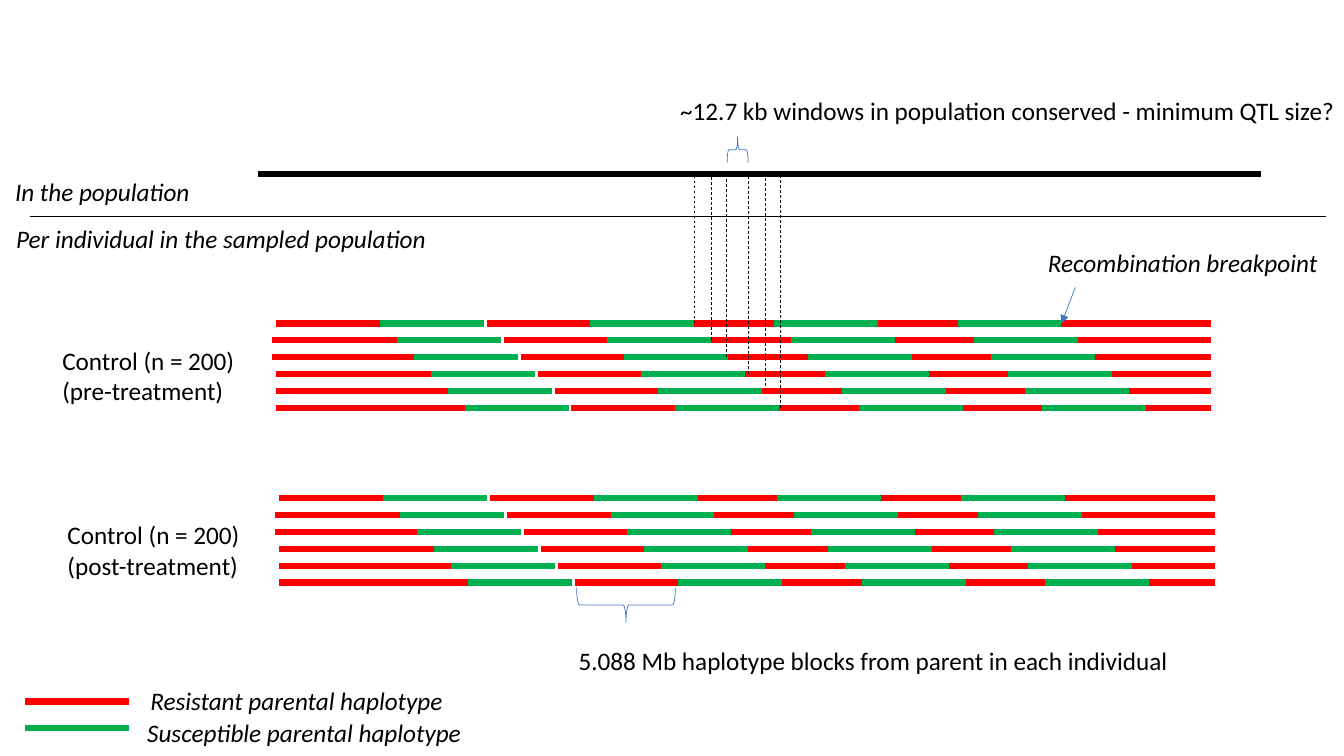
import pptx
import pptx.util
import pptx.dml.color
import pptx.enum.dml
import pptx.enum.shapes
import pptx.enum.text
import pptx.oxml.ns
import lxml.etree

Cm = pptx.util.Cm
RED, GREEN, BLACK, BLUE = "FF0000", "00B050", "000000", "4472C4"
THICK, THIN = 4.5, 0.5
BLOCK = 2.62
ROWS = 6
PITCH = 2.13 / (ROWS - 1)
REDS = [5.31, 9.93, 14.55]
GREENS = [2.62, 7.92, 12.55, 17.17]
LAST, END = 18.82, 23.57
LEADS = [0, -0.1, -0.1, 0, 0, 0]
BREAKS = [(17.5, 4.32), (17.93, 4.39), (18.31, 4.39),
          (18.85, 4.39), (19.28, 4.32), (19.66, 4.39)]


def paint(code):
    return pptx.dml.color.RGBColor.from_string(code)


def apply(item, values):
    for name, value in values.items():
        setattr(item, name, value)


def add_sub(node, tag, **attrs):
    return lxml.etree.SubElement(node, pptx.oxml.ns.qn(tag), attrs)


def add_line(slide, start, end, color, width, dash=False, arrow=False):
    line = slide.shapes.add_connector(
        pptx.enum.shapes.MSO_CONNECTOR.STRAIGHT,
        *[Cm(value) for value in (*start, *end)])
    line.line.color.rgb = paint(color)
    line.line.width = pptx.util.Pt(width)
    if dash:
        line.line.dash_style = pptx.enum.dml.MSO_LINE.DASH
    if arrow:
        add_sub(line.line._get_or_add_ln(), "a:tailEnd", type="triangle")
    add_sub(line._element.spPr, "a:effectLst")


def add_text(slide, box, text, italic=False, wrap=False):
    frame = slide.shapes.add_textbox(*[Cm(value) for value in box]).text_frame
    frame.text = text
    apply(frame, {"word_wrap": wrap,
                  "auto_size": pptx.enum.text.MSO_AUTO_SIZE.SHAPE_TO_FIT_TEXT})
    style = {"name": "Calibri", "size": pptx.util.Pt(18)}
    if italic:
        style["italic"] = True
    for para in frame.paragraphs:
        for run in para.runs:
            apply(run.font, style)
            run.font.color.rgb = paint(BLACK)


def add_brace(slide, box, angle):
    brace = slide.shapes.add_shape(
        pptx.enum.shapes.MSO_SHAPE.RIGHT_BRACE, *[Cm(value) for value in box])
    brace.rotation = angle
    brace.shadow.inherit = False
    brace.fill.background()
    brace.line.color.rgb = paint(BLUE)
    brace.line.width = pptx.util.Pt(THIN)


def draw_group(slide, left, top, label, text):
    for row, lead in enumerate(LEADS):
        shift = row * PITCH
        y = top + shift
        spans = [(lead, BLOCK + shift, RED)]
        spans += [(x + shift, x + shift + BLOCK, RED) for x in REDS]
        spans += [(LAST + shift, END, RED)]
        spans += [(x + shift, x + shift + BLOCK, GREEN) for x in GREENS]
        for start, end, color in spans:
            add_line(slide, (left + start, y), (left + end, y), color, THICK)
    add_text(slide, (left + label, top + 0.42, 4.9, 1.8), text)


def draw_breaks(slide, top):
    for row, (x, head) in enumerate(BREAKS):
        add_line(slide, (x, top + row * PITCH), (x, head), BLACK, THIN, dash=True)


def draw_header(slide, left, top):
    add_line(slide, (left + 0.62, top + 1.12), (left + 33.28, top + 1.12), BLACK, THIN)
    add_line(slide, (left + 6.36, top + 0.07), (left + 31.66, top + 0.07), BLACK, THICK)
    add_text(slide, (left + 0.03, top + 1.19, 11.05, 1.02),
             "Per individual in the sampled population", True)
    add_text(slide, (left, top, 5.03, 1.02), "In the population", True)


def draw_window(slide, left, top):
    add_text(slide, (left, top, 19.35, 1.02),
             "~12.7 kb windows in population conserved - minimum QTL size?", wrap=True)
    add_brace(slide, (left + 1.37, top + 1.22, 0.66, 0.53), 270)


def draw_size(slide, left, top):
    add_brace(slide, (left + 1, top - 2.13, 0.89, 2.49), 90)
    add_text(slide, (left, top, 15.54, 1.02),
             "5.088 Mb haplotype blocks from parent in each individual")


def draw_point(slide, left, top):
    add_line(slide, (left + 0.94, top + 1.12), (left + 0.59, top + 2.03),
             BLUE, THIN, arrow=True)
    add_text(slide, (left, top, 7.37, 1.02), "Recombination breakpoint", True)


def draw_legend(slide, left, top):
    for y, color in ((0.53, RED), (1.19, GREEN)):
        add_line(slide, (left, top + y), (left + BLOCK, top + y), color, THICK)
    add_text(slide, (left + 2.9, top, 7.95, 1.02), "Resistant parental haplotype", True)
    add_text(slide, (left + 2.82, top + 0.81, 8.51, 1.02),
             "Susceptible parental haplotype", True)


def main():
    deck = pptx.Presentation()
    apply(deck, {"slide_width": Cm(33.87), "slide_height": Cm(19.05)})
    slide = deck.slides.add_slide(deck.slide_layouts[6])
    draw_header(slide, 0.13, 4.32)
    draw_group(slide, 6.96, 8.15, -5.64, "Control (n = 200)\n(pre-treatment)")
    draw_group(slide, 7.04, 12.55, -5.59, "Control (n = 200)\n(post-treatment)")
    draw_breaks(slide, 8.15)
    draw_window(slide, 16.89, 2.29)
    draw_size(slide, 14.33, 16.13)
    draw_legend(slide, 0.64, 17.15)
    draw_point(slide, 26.16, 6.12)
    deck.save("out.pptx")


if __name__ == "__main__":
    main()
